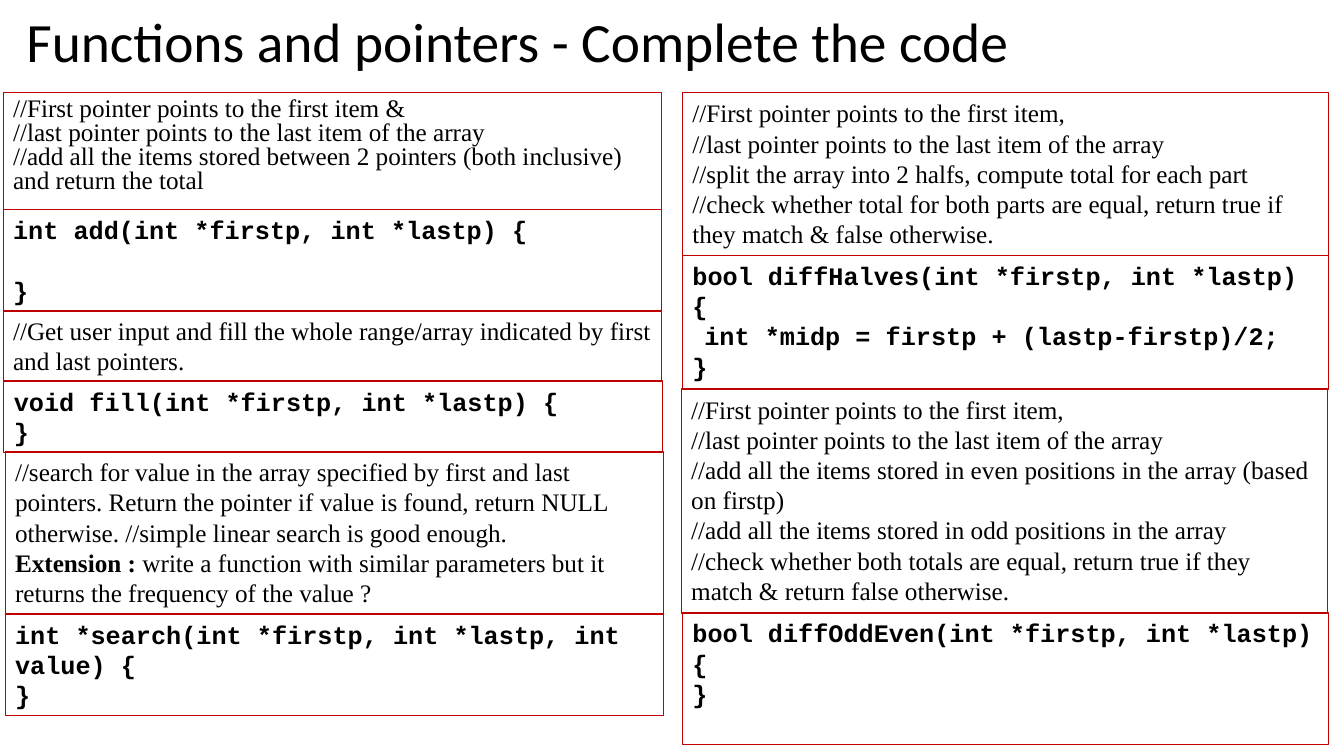
from dataclasses import dataclass

from pptx import Presentation
from pptx.dml.color import RGBColor
from pptx.enum.shapes import MSO_SHAPE as SHAPE
from pptx.enum.text import MSO_ANCHOR as ANCHOR, MSO_AUTO_SIZE as AUTO, PP_ALIGN as ALIGN
from pptx.util import Cm, Pt


@dataclass(frozen=True)
class Theme:
    ink: RGBColor = RGBColor(0, 0, 0)
    border: RGBColor = RGBColor(0xC0, 0, 0)
    border_width: Pt = Pt(0.75)
    title: tuple = ("Calibri", Pt(39.6), False)
    note: tuple = ("Times New Roman", Pt(18), False)
    code: tuple = ("Courier New", Pt(18), True)
    blank_line: Pt = Pt(21.8)


THEME = Theme()
TITLE = "Functions and pointers - Complete the code"
FIRST = "//First pointer points to the first item,"
LAST = "//last pointer points to the last item of the array"

# Box: left (cm), height (cm), text style, lines, paragraph formats by line number
LEFT = [
    (0.08, 2.95, THEME.note,
     ["//First pointer points to the first item &", LAST,
      "//add all the items stored between 2 pointers (both inclusive) and return the total"],
     {i: {"line_spacing": 0.8} for i in range(3)}),
    (0.08, 2.57, THEME.code, ["int add(int *firstp, int *lastp) {", "}"],
     {1: {"space_before": THEME.blank_line}}),
    (0.08, 1.8, THEME.note,
     ["//Get user input and fill the whole range/array indicated by first and last pointers."], {}),
    (0.1, 1.8, THEME.code, ["void fill(int *firstp, int *lastp) {", "}"], {}),
    (0.13, 4.11, THEME.note,
     ["//search for value in the array specified by first and last pointers. Return the pointer "
      "if value is found, return NULL otherwise. //simple linear search is good enough.",
      ("Extension : ",
       "write a function with similar parameters but it returns the frequency of the value ?")], {}),
    (0.13, 2.57, THEME.code, ["int *search(int *firstp, int *lastp, int value) {", "}"], {}),
]
RIGHT = [
    (17.2, 4.11, THEME.note,
     [FIRST, LAST, "//split the array into 2 halfs, compute total for each part",
      "//check whether total for both parts are equal, return true if they match & "
      "false otherwise."], {}),
    (17.2, 3.39, THEME.code,
     ["bool diffHalves(int *firstp, int *lastp) {",
      "int *midp = firstp + (lastp-firstp)/2;", "}"], {1: {"indent": Cm(0.3)}}),
    (17.17, 5.66, THEME.note,
     [FIRST, LAST,
      "//add all the items stored in even positions in the array (based on firstp)",
      "//add all the items stored in odd positions in the array",
      "//check whether both totals are equal, return true if they match & "
      "return false otherwise."], {}),
    (17.2, 3.33, THEME.code, ["bool diffOddEven(int *firstp, int *lastp) {", "}"], {}),
]
COLUMNS = [(16.59, LEFT), (16.28, RIGHT)]
TOP, OVERLAP = 2.34, 0.02


def set_all(obj, values):
    for name, value in values.items():
        setattr(obj, name, value)


def add_run(p, text, style, bold=None):
    name, size, style_bold = style
    r = p.add_run()
    r.text = text
    set_all(r.font, {"name": name, "size": size,
                     "bold": style_bold if bold is None else bold})
    r.font.color.rgb = THEME.ink


def format_paragraph(p, values):
    values = dict(values)
    indent = values.pop("indent", None)
    if indent is not None:
        p._p.get_or_add_pPr().set("marL", str(indent))
    set_all(p, {"alignment": ALIGN.LEFT, **values})


def add_box(slide, place, style, lines, formats):
    """Add a bordered box; a line given as a pair starts with a bold label."""
    sp = slide.shapes.add_shape(SHAPE.RECTANGLE, *(Cm(v) for v in place))
    sp.shadow.inherit = False
    sp.fill.background()
    sp.line.color.rgb = THEME.border
    sp.line.width = THEME.border_width
    tf = sp.text_frame
    set_all(tf, {"word_wrap": True, "vertical_anchor": ANCHOR.TOP, "auto_size": AUTO.NONE})
    for i, line in enumerate(lines):
        p = tf.paragraphs[0] if i == 0 else tf.add_paragraph()
        format_paragraph(p, formats.get(i, {}))
        if isinstance(line, tuple):
            label, line = line
            add_run(p, label, style, bold=True)
        add_run(p, line, style)


def add_title(slide):
    sp = slide.shapes.title
    set_all(sp, {"left": Cm(0.41), "top": Cm(0.18), "width": Cm(33.07), "height": Cm(1.9)})
    tf = sp.text_frame
    set_all(tf, {"word_wrap": True, "vertical_anchor": ANCHOR.MIDDLE, "auto_size": AUTO.NONE})
    p = tf.paragraphs[0]
    format_paragraph(p, {"line_spacing": 0.9})
    add_run(p, TITLE, THEME.title)


def main():
    prs = Presentation()
    set_all(prs, {"slide_width": Cm(33.87), "slide_height": Cm(19.05)})
    slide = prs.slides.add_slide(prs.slide_layouts[5])
    add_title(slide)
    for width, boxes in COLUMNS:
        top = TOP
        for left, height, style, lines, formats in boxes:
            add_box(slide, (left, top, width, height), style, lines, formats)
            top += height - OVERLAP
    prs.save("out.pptx")


if __name__ == "__main__":
    main()
